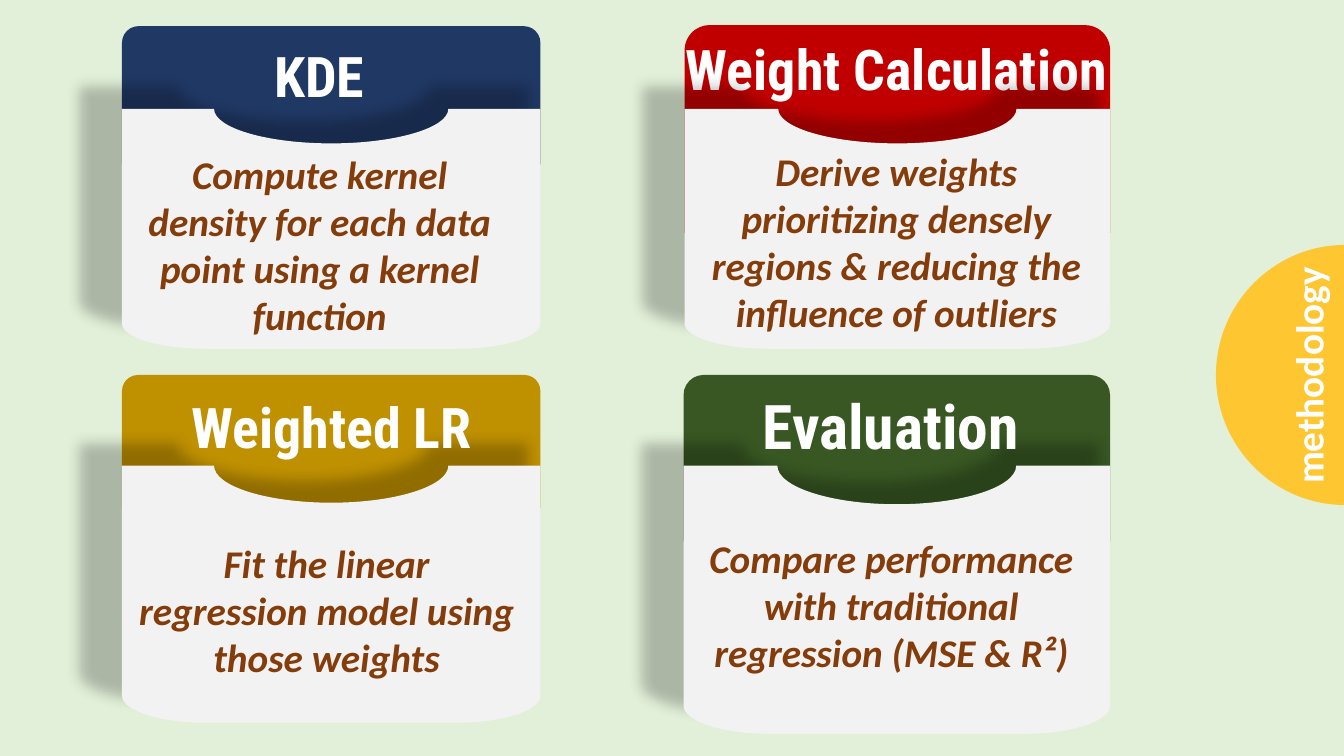
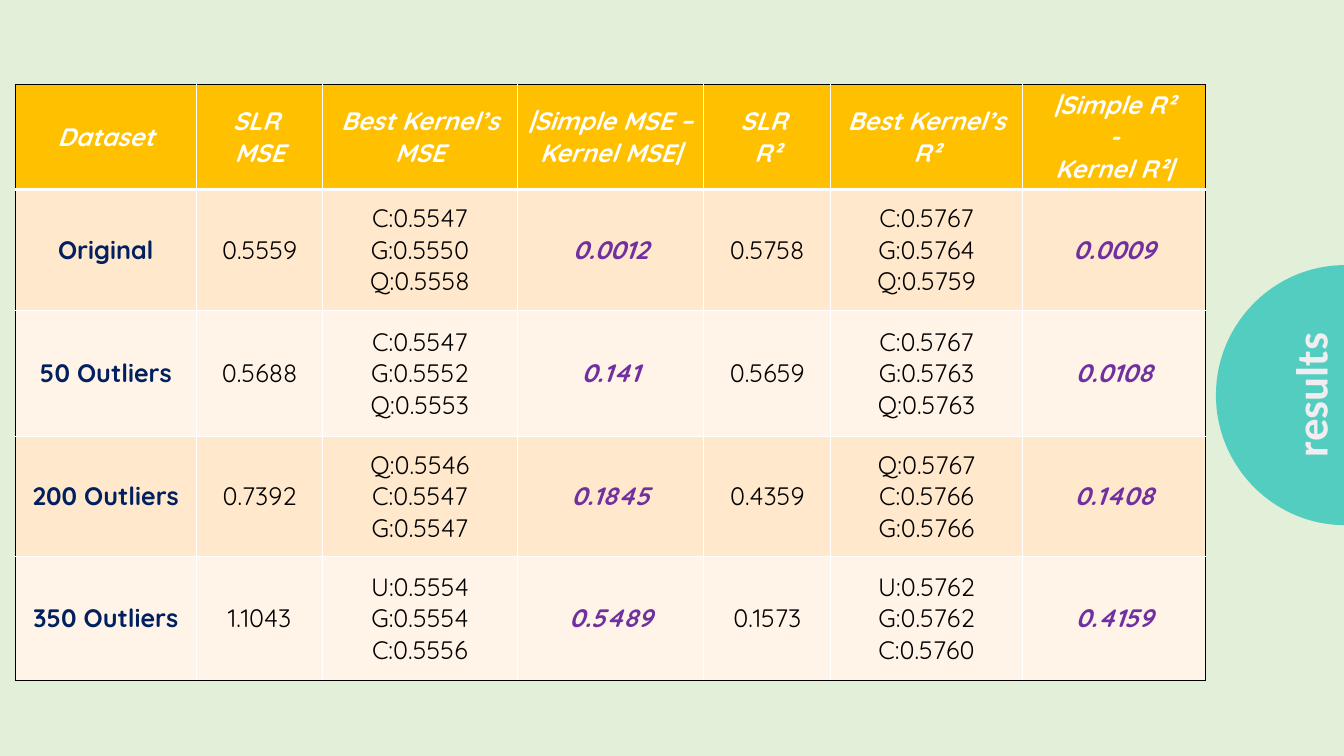
import dataclasses

import pptx
import pptx.dml.color
import pptx.enum.shapes
import pptx.enum.text
import pptx.oxml
import pptx.oxml.ns
import pptx.util

Inches = pptx.util.Inches
Pt = pptx.util.Pt


@dataclasses.dataclass(frozen=True)
class Theme:
    back: str = "E2F0D9"
    card: str = "F2F2F2"
    black: str = "000000"
    white: str = "FFFFFF"
    gold: str = "FFC000"
    bands: tuple = ("FFE8CC", "FFF4E7")
    title = dict(name="Roboto Condensed", size=40, bold=True, color="FFFFFF")
    body = dict(name="Calibri", size=28, bold=True, italic=True, color="843C0B")
    tab = dict(name="Calibri", size=28, bold=True, color="FFFFFF")
    cell = dict(name="Quicksand", size=18, bold=False, italic=False, color="000000")
    head = cell | dict(bold=True, italic=True, color="FFFFFF")
    name = cell | dict(bold=True, color="002060")
    gap = cell | dict(bold=True, italic=True, color="7030A0")


THEME = Theme()

# box, fold, header height, colour, title, title box, title size, text, text box
CARDS = [
    ((1.21, 0.26, 4.15, 3.2), 1.08, 1.37, "203864", "KDE",
     (1.51, 0.36, 3.31, 0.77), 40,
     "Compute kernel density for each data point using a kernel function",
     (1.33, 1.44, 3.68, 1.99)),
    ((6.79, 0.25, 4.22, 3.21), 1.08, 2.06, "C00000", "Weight Calculation",
     (6.51, 0.29, 4.76, 0.76), 40,
     "Derive weights prioritizing densely regions & reducing the influence of outliers",
     (6.71, 1.41, 4.36, 1.99)),
    ((1.21, 3.72, 4.15, 3.45), 4.62, 1.32, "BF9000", "Weighted LR",
     (1.44, 3.85, 3.7, 0.77), 40,
     "Fit the linear regression model using those weights",
     (1.26, 5.3, 3.96, 1.51)),
    ((6.78, 3.72, 4.23, 3.56), 4.62, 1.65, "385723", "Evaluation",
     (7.07, 3.8, 3.53, 0.84), 44,
     "Compare performance with traditional regression (MSE & R²)",
     (6.92, 5.25, 3.84, 1.51)),
]

WIDTHS = (1.8, 1.25, 1.93, 1.85, 1.26, 1.9, 1.82)
HEIGHTS = (1.04, 1.2, 1.25, 1.19, 1.23)
ROWS = [
    ("Dataset", "SLR \nMSE", "Best Kernel’s MSE", "|Simple MSE – \nKernel MSE|",
     "SLR \nR²", "Best Kernel’s R²", "|Simple R²\n - \nKernel R²|"),
    ("Original", "0.5559", "C:0.5547\nG:0.5550\nQ:0.5558", "0.0012",
     "0.5758", "C:0.5767\nG:0.5764\nQ:0.5759", "0.0009"),
    ("50 Outliers", "0.5688", "C:0.5547\nG:0.5552\nQ:0.5553", "0.141",
     "0.5659", "C:0.5767\nG:0.5763\nQ:0.5763", "0.0108"),
    ("200 Outliers", "0.7392", "Q:0.5546\nC:0.5547\nG:0.5547", "0.1845",
     "0.4359", "Q:0.5767\nC:0.5766\nG:0.5766", "0.1408"),
    ("350 Outliers", "1.1043", "U:0.5554\nG:0.5554\nC:0.5556", "0.5489",
     "0.1573", "U:0.5762\nG:0.5762\nC:0.5760", "0.4159"),
]


def rgb(code):
    return pptx.dml.color.RGBColor.from_string(code)


def write(frame, text, style):
    """Fill a text frame with centred lines in one style."""
    frame.word_wrap = True
    frame.text = text
    for para in frame.paragraphs:
        para.alignment = pptx.enum.text.PP_ALIGN.CENTER
        font = para.runs[0].font
        for key, value in style.items():
            if key == "color":
                font.color.rgb = rgb(value)
            else:
                setattr(font, key, Pt(value) if key == "size" else value)


def label(slide, box, text, style, turn=0):
    shape = slide.shapes.add_textbox(*map(Inches, box))
    shape.rotation = turn
    write(shape.text_frame, text, style)


def paint(shape, color):
    shape.shadow.inherit = False
    shape.fill.solid()
    shape.fill.fore_color.rgb = rgb(color)
    shape.line.fill.background()


def bend(start, corner, end):
    """Curve of a quarter ellipse: two control points and the end."""
    near, far = (tuple(p + 0.55 * (c - p) for p, c in zip(point, corner))
                 for point in (start, end))
    return [near, far, end]


def outline(slide, start, steps, color):
    """Closed shape; a step of one point is a line, of three a curve."""
    points = [tuple(map(Inches, point)) for step in steps for point in step]
    pen = slide.shapes.build_freeform(*map(Inches, start))
    pen.add_line_segments(points, close=True)
    shape = pen.convert_to_shape()
    qn = pptx.oxml.ns.qn
    lines = iter(list(shape._element.iter(qn("a:lnTo"))))
    for step in steps:
        nodes = [next(lines) for _ in step]
        if len(step) == 3:
            curve = pptx.oxml.parse_xml(
                f'<a:cubicBezTo {pptx.oxml.ns.nsdecls("a")}/>')
            nodes[0].addprevious(curve)
            for node in nodes:
                curve.append(node[0])
                node.getparent().remove(node)
    paint(shape, color)
    return shape


def shade(shape):
    """Cast a soft shadow up and to the left."""
    ns = pptx.oxml.ns.nsdecls("a")
    effect = pptx.oxml.parse_xml(
        f'<a:outerShdw {ns} blurRad="{Pt(10)}" dist="{Inches(0.35)}" dir="13140000"'
        ' sx="107000" sy="100000" algn="ctr" rotWithShape="0">'
        f'<a:srgbClr val="{THEME.black}"><a:alpha val="23000"/></a:srgbClr></a:outerShdw>')
    shape._element.spPr.find(pptx.oxml.ns.qn("a:effectLst")).append(effect)


def panel(slide, box):
    """Card body with a notch on top and rounded lower corners."""
    left, top, wide, high = box
    right, base, mid = left + wide, top + high, left + wide / 2
    half, low = wide * 0.28, top + high * 0.144
    inset, rise = wide * 0.2, base - high * 0.105
    steps = [
        [(mid - half, top)],
        bend((mid - half, top), (mid - half, low), (mid, low)),
        bend((mid, low), (mid + half, low), (mid + half, top)),
        [(right, top)],
        [(right, rise)],
        bend((right, rise), (right, base), (right - inset, base)),
        [(left + inset, base)],
        bend((left + inset, base), (left, base), (left, rise)),
    ]
    shade(outline(slide, (left, top), steps, THEME.card))


def card(slide, box, fold, depth, color, title, spot, size, text, area):
    left, top, wide, high = box
    kind = pptx.enum.shapes.MSO_SHAPE.ROUND_2_SAME_RECTANGLE
    head = slide.shapes.add_shape(kind, *map(Inches, (left, top, wide, depth)))
    head.adjustments[0] = 0.12
    paint(head, color)
    style = THEME.title | dict(size=size)
    under = depth > 2
    if under:
        label(slide, spot, title, style)
    panel(slide, (left, fold, wide, top + high - fold))
    if not under:
        label(slide, spot, title, style)
    label(slide, area, text, THEME.body)


def side(slide, box, text, color, style, mark):
    """Half disc at the right edge with upright text."""
    left, top, wide, high = box
    right, base, mid = left + wide, top + high, top + high / 2
    steps = [
        [(right, base)],
        bend((right, base), (left, base), (left, mid)),
        bend((left, mid), (left, top), (right, top)),
    ]
    outline(slide, (right, top), steps, color)
    label(slide, mark, text, style, 270)


def edge(cell, name, color, width):
    ns = pptx.oxml.ns.nsdecls("a")
    cell._tc.get_or_add_tcPr().append(pptx.oxml.parse_xml(
        f'<a:{name} {ns} w="{Pt(width)}"><a:solidFill><a:srgbClr val="{color}"/>'
        f'</a:solidFill></a:{name}>'))


def rule(cell, row, col):
    """Black lines outside the table, white ones inside."""
    last = (len(ROWS) - 1, len(WIDTHS) - 1)
    outer = dict(lnL=col == 0, lnR=col == last[1], lnT=row == 0, lnB=row == last[0])
    for name, out in outer.items():
        thick = (row, name) in ((0, "lnB"), (1, "lnT"))
        edge(cell, name, THEME.black if out else THEME.white, 3 if thick else 1)


def grid(slide, box):
    shape = slide.shapes.add_table(len(ROWS), len(WIDTHS), *map(Inches, box))
    table = shape.table
    for col, wide in zip(table.columns, WIDTHS):
        col.width = Inches(wide)
    for row, high in zip(table.rows, HEIGHTS):
        row.height = Inches(high)
    styles = {0: THEME.name, 3: THEME.gap, 6: THEME.gap}
    for r, row in enumerate(ROWS):
        for c, text in enumerate(row):
            cell = table.cell(r, c)
            rule(cell, r, c)
            cell.fill.solid()
            cell.fill.fore_color.rgb = rgb(THEME.bands[(r - 1) % 2] if r else THEME.gold)
            cell.vertical_anchor = pptx.enum.text.MSO_ANCHOR.MIDDLE
            write(cell.text_frame, text, styles.get(c, THEME.cell) if r else THEME.head)


def page(deck):
    slide = deck.slides.add_slide(deck.slide_layouts[6])
    slide.background.fill.solid()
    slide.background.fill.fore_color.rgb = rgb(THEME.back)
    return slide


def method(deck):
    slide = page(deck)
    side(slide, (12.06, 2.43, 1.28, 2.58), "methodology", "FEC630", THEME.tab,
         (11.51, 3.44, 2.93, 0.57))
    for parts in CARDS:
        card(slide, *parts)


def results(deck):
    slide = page(deck)
    grid(slide, (0.15, 0.84, sum(WIDTHS), sum(HEIGHTS)))
    side(slide, (12.06, 2.63, 1.28, 2.58), "results", "52CDC0",
         THEME.tab | dict(size=32, color="F0EEF0"), (11.53, 3.6, 2.93, 0.64))


def main():
    deck = pptx.Presentation()
    deck.slide_width, deck.slide_height = Inches(13.33), Inches(7.5)
    method(deck)
    results(deck)
    deck.save("out.pptx")


if __name__ == "__main__":
    main()
